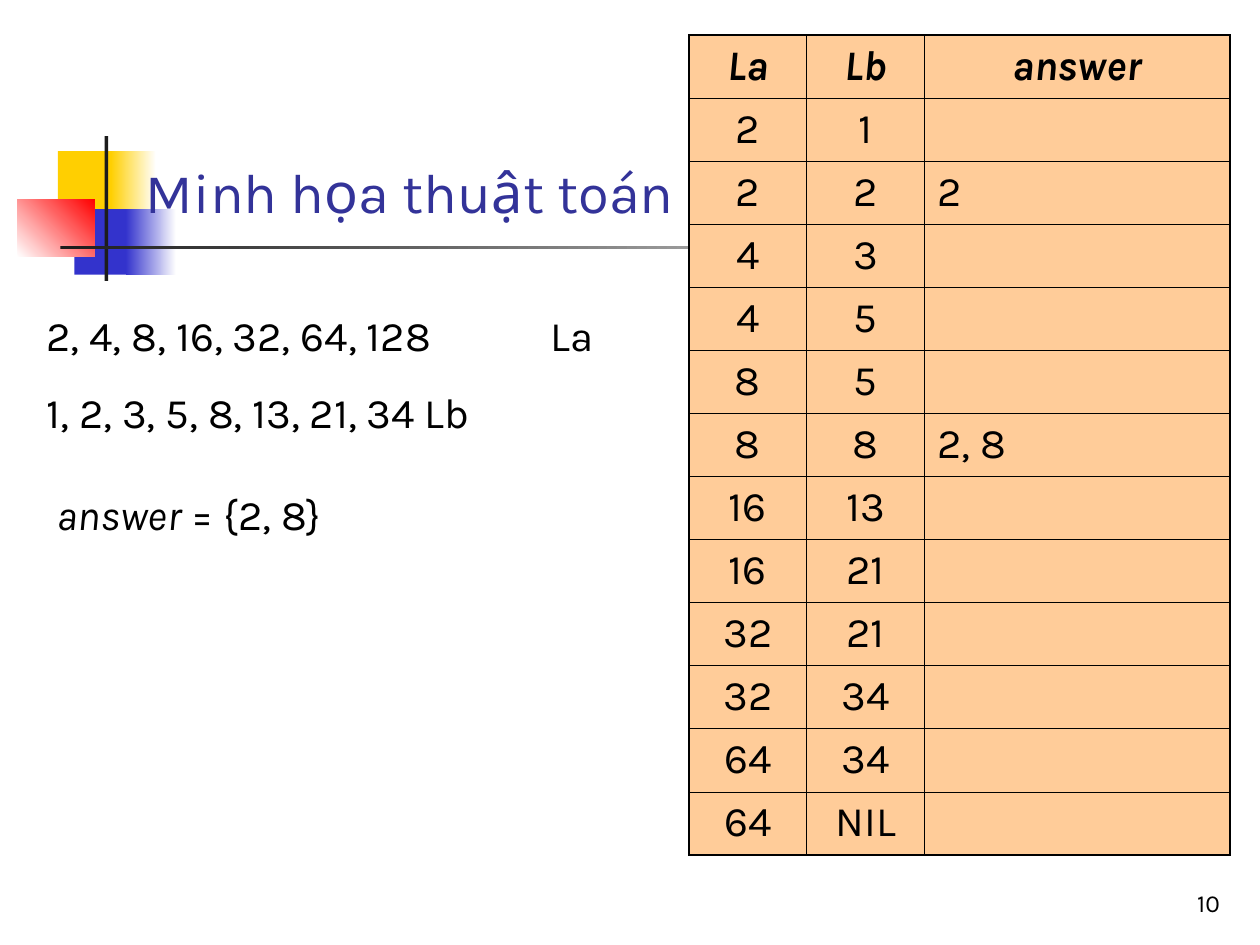
from dataclasses import dataclass

from lxml import etree
from pptx import Presentation
from pptx import util as u
from pptx.dml.color import RGBColor
from pptx.enum import shapes, text
from pptx.oxml import ns


@dataclass(frozen=True)
class Theme:
    """Colours, font and type sizes of the slide."""
    font: str = "Karla"
    ink: str = "000000"
    head: str = "333399"
    cell: str = "FFCC99"
    gold: str = "FFCF01"
    blue: str = "3333CC"
    red: str = "FF0000"
    dark: str = "1C1C1C"
    white: str = "FFFFFF"
    title: int = 32
    body: int = 24
    page: int = 14
    thin: float = 0.45
    thick: float = 1.08


T = Theme()
ROWS = [
    ("La", "Lb", "answer"),
    ("2", "1", ""),
    ("2", "2", "2"),
    ("4", "3", ""),
    ("4", "5", ""),
    ("8", "5", ""),
    ("8", "8", "2, 8"),
    ("16", "13", ""),
    ("16", "21", ""),
    ("32", "21", ""),
    ("32", "34", ""),
    ("64", "34", ""),
    ("64", "NIL", ""),
]


def rgb(code):
    """Turn a hex code into a colour."""
    return RGBColor.from_string(code)


def block(slide, box, start, end=None, angle=0):
    """Draw a rectangle with a plain fill or a two-colour gradient."""
    item = slide.shapes.add_shape(shapes.MSO_SHAPE.RECTANGLE, *map(u.Inches, box))
    item.shadow.inherit = False
    item.line.fill.background()
    if end is None:
        item.fill.solid()
        item.fill.fore_color.rgb = rgb(start)
        return
    item.fill.gradient()
    item.fill.gradient_angle = angle
    for stop, code in zip(item.fill.gradient_stops, (start, end)):
        stop.color.rgb = rgb(code)


def write(para, words, size=T.body, color=T.ink, bold=False, italic=False,
          align=text.PP_ALIGN.LEFT, before=0):
    """Add a formatted run to a paragraph."""
    para.alignment = align
    para.space_before = u.Pt(before)
    run = para.add_run()
    run.text = words
    font = run.font
    font.name, font.size, font.bold, font.italic = T.font, u.Pt(size), bold, italic
    font.color.rgb = rgb(color)


def frame(slide, box, anchor=text.MSO_ANCHOR.TOP, grow=False):
    """Add a wrapping text box and return its text frame."""
    body = slide.shapes.add_textbox(*map(u.Inches, box)).text_frame
    body.word_wrap = True
    body.vertical_anchor = anchor
    if grow:
        body.auto_size = text.MSO_AUTO_SIZE.SHAPE_TO_FIT_TEXT
    return body


def tabs(para, count=7):
    """Set left tab stops one inch apart."""
    stops = etree.SubElement(para._p.get_or_add_pPr(), ns.qn("a:tabLst"))
    for inch in range(1, count + 1):
        etree.SubElement(stops, ns.qn("a:tab"), pos=str(u.Inches(inch)), algn="l")


def border(cell, side, width):
    """Draw one side of a cell."""
    line = etree.SubElement(cell._tc.get_or_add_tcPr(), ns.qn(f"a:ln{side}"),
                            w=str(u.Pt(width)))
    fill = etree.SubElement(line, ns.qn("a:solidFill"))
    etree.SubElement(fill, ns.qn("a:srgbClr"), val=T.ink)


def trace(slide):
    """Build the table that traces the algorithm."""
    last, end = len(ROWS) - 1, len(ROWS[0]) - 1
    box = map(u.Inches, (5.47, 0.28, 4.29, 6.5))
    grid = slide.shapes.add_table(last + 1, end + 1, *box).table
    grid.first_row = grid.horz_banding = False
    for col, width in zip(grid.columns, (0.93, 0.94, 2.42)):
        col.width = u.Inches(width)
    for r, row in enumerate(ROWS):
        grid.rows[r].height = u.Inches(0.5)
        for c, words in enumerate(row):
            cell = grid.cell(r, c)
            edges = {"L": c == 0, "R": c == end, "T": r == 0, "B": r == last}
            for side, outer in edges.items():
                border(cell, side, T.thick if outer else T.thin)
            cell.fill.solid()
            cell.fill.fore_color.rgb = rgb(T.cell)
            if words:
                left = c == end and r > 0
                write(cell.text_frame.paragraphs[0], words, bold=r == 0,
                      italic=r == 0, before=1.5,
                      align=text.PP_ALIGN.LEFT if left else text.PP_ALIGN.CENTER)


def motif(slide):
    """Draw the coloured blocks and bars beside the title."""
    block(slide, (0.46, 1.2, 0.48, 0.52), T.gold)
    block(slide, (0.88, 1.2, 0.36, 0.52), T.gold, T.white)
    block(slide, (0.59, 1.66, 0.46, 0.52), T.blue)
    block(slide, (1, 1.66, 0.4, 0.52), T.blue, T.white)
    block(slide, (0.14, 1.58, 0.61, 0.46), T.white, T.red, angle=45)
    block(slide, (0.83, 1.08, 0.03, 1.15), T.dark)
    block(slide, (0.48, 1.95, 9, 0.03), T.dark, T.white)


def lists(slide):
    """Write the two input lists."""
    body = frame(slide, (0.27, 2.41, 5.75, 1.11), grow=True)
    lines = ("2, 4, 8, 16, 32, 64, 128 \tLa", "1, 2, 3, 5, 8, 13, 21, 34\tLb")
    for i, words in enumerate(lines):
        para = body.add_paragraph() if i else body.paragraphs[0]
        write(para, words, before=15)
        tabs(para)


def main():
    """Build and save the slide."""
    deck = Presentation()
    deck.slide_width, deck.slide_height = u.Inches(10), u.Inches(7.5)
    slide = deck.slides.add_slide(deck.slide_layouts[6])
    motif(slide)
    lists(slide)
    trace(slide)
    result = frame(slide, (0.35, 3.83, 2.84, 0.5), grow=True).paragraphs[0]
    write(result, "answer", italic=True, before=15)
    write(result, " = {2, 8}", before=15)
    low = text.MSO_ANCHOR.BOTTOM
    page = frame(slide, (7.7, 6.83, 2.08, 0.5), low)
    write(page.paragraphs[0], "10", size=T.page, align=text.PP_ALIGN.RIGHT)
    title = frame(slide, (1.06, 0.68, 8.52, 1.15), low)
    write(title.paragraphs[0], "Minh họa thuật toán", size=T.title, color=T.head)
    deck.save("out.pptx")


if __name__ == "__main__":
    main()
